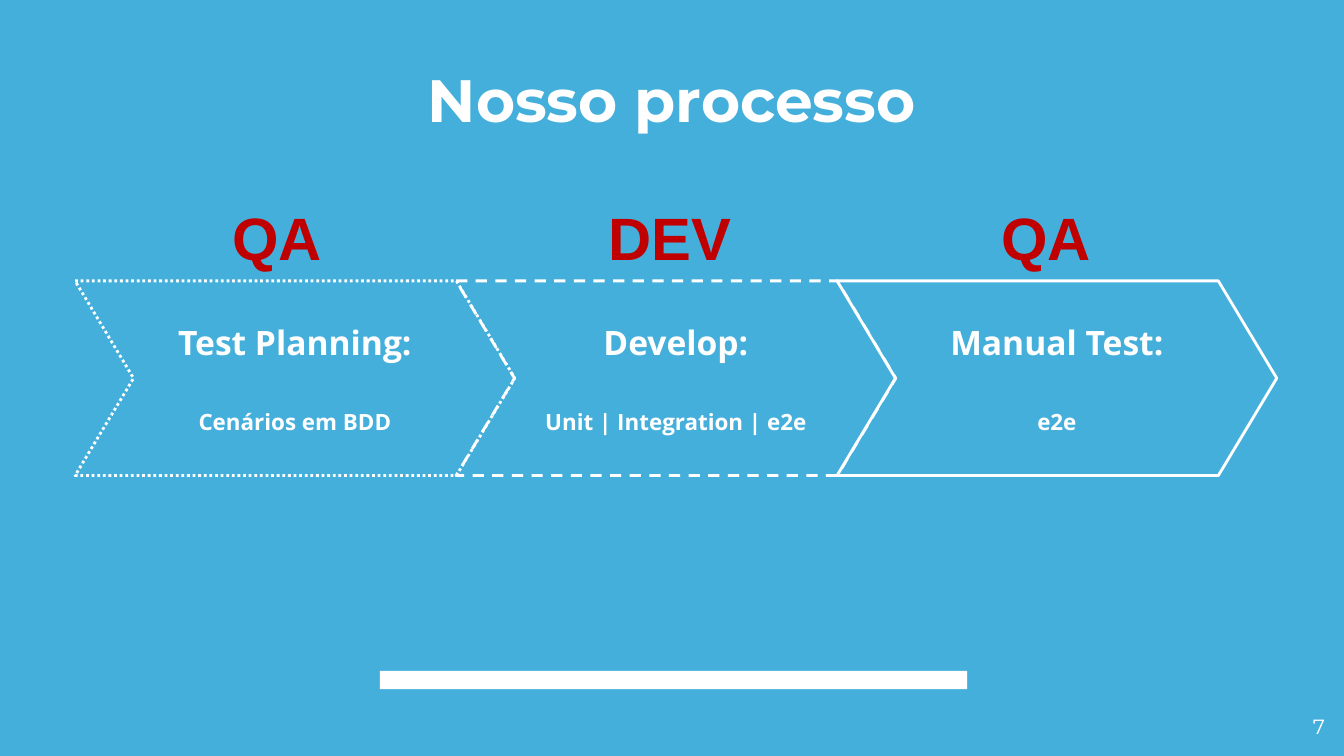
"""Build the "Nosso processo" slide: a three-step QA and development flow."""
from dataclasses import dataclass

from pptx import Presentation
from pptx.dml.color import RGBColor
from pptx.enum.dml import MSO_LINE
from pptx.enum.shapes import MSO_SHAPE
from pptx.enum.text import MSO_ANCHOR, MSO_AUTO_SIZE, PP_ALIGN
from pptx.util import Cm, Pt

RECTANGLE, CHEVRON = MSO_SHAPE.RECTANGLE, MSO_SHAPE.CHEVRON
DASH, DOT, SOLID = MSO_LINE.DASH, MSO_LINE.ROUND_DOT, MSO_LINE.SOLID
TOP, MIDDLE, BOTTOM = MSO_ANCHOR.TOP, MSO_ANCHOR.MIDDLE, MSO_ANCHOR.BOTTOM
LEFT, CENTER, RIGHT = PP_ALIGN.LEFT, PP_ALIGN.CENTER, PP_ALIGN.RIGHT
FIT_SHAPE = MSO_AUTO_SIZE.SHAPE_TO_FIT_TEXT


@dataclass(frozen=True)
class Theme:
    background: RGBColor = RGBColor(0x45, 0xAF, 0xDC)
    white: RGBColor = RGBColor(0xFF, 0xFF, 0xFF)
    red: RGBColor = RGBColor(0xC0, 0x00, 0x00)
    title_font: str = "Montserrat"
    step_font: str = "Open Sans"
    role_font: str = "Arial"
    heading: Pt = Pt(32)
    step: Pt = Pt(18)
    detail: Pt = Pt(12)
    number: Pt = Pt(11)


theme = Theme()


def style_paragraph(para, font_name, size, color, bold, align):
    para.alignment = align
    for span in para.runs:
        span.font.name = font_name
        span.font.size = size
        span.font.bold = bold
        span.font.color.rgb = color


def set_frame(shape, anchor, inset=Cm(0.25)):
    frame = shape.text_frame
    frame.word_wrap = True
    frame.vertical_anchor = anchor
    frame.margin_left = frame.margin_right = inset
    frame.margin_top = frame.margin_bottom = inset
    return frame


deck = Presentation()
deck.slide_width, deck.slide_height = Cm(25.4), Cm(14.29)
page = deck.slides.add_slide(deck.slide_layouts[6])
page.background.fill.solid()
page.background.fill.fore_color.rgb = theme.background

bar = page.shapes.add_shape(RECTANGLE, Cm(7.18), Cm(12.68), Cm(11.1), Cm(0.35))
bar.shadow.inherit = False
bar.fill.solid()
bar.fill.fore_color.rgb = theme.white
bar.line.fill.background()

title = page.shapes.add_textbox(Cm(1.27), Cm(1.19), Cm(22.86), Cm(1.6))
frame = set_frame(title, BOTTOM)
frame.text = "Nosso processo"
style_paragraph(frame.paragraphs[0], theme.title_font, theme.heading, theme.white, True, CENTER)

steps = [
    ("Test Planning:", "Cenários em BDD", DOT),
    ("Develop:", "Unit | Integration | e2e", DASH),
    ("Manual Test:", "e2e", SOLID),
]
for index, (name, detail, dash) in enumerate(steps):
    chevron = page.shapes.add_shape(CHEVRON, Cm(1.42 + 7.2 * index), Cm(5.31), Cm(8.31), Cm(3.68))
    chevron.adjustments[0] = 0.3
    chevron.shadow.inherit = False
    chevron.fill.background()
    chevron.line.color.rgb = theme.white
    chevron.line.width = Pt(1.5)
    chevron.line.dash_style = dash
    frame = set_frame(chevron, MIDDLE)
    frame.text = f"{name}\n{detail}"
    for para, size in zip(frame.paragraphs, (theme.step, theme.detail)):
        style_paragraph(para, theme.step_font, size, theme.white, True, CENTER)
    frame.paragraphs[1].space_before = Pt(24.5)

number = page.shapes.add_textbox(Cm(23.77), Cm(13.26), Cm(1.52), Cm(0.81))
frame = set_frame(number, TOP)
frame.text = "7"
style_paragraph(frame.paragraphs[0], theme.title_font, theme.number, theme.white, False, RIGHT)

for role, left, width in [("QA", 4.14, 2.24), ("DEV", 11.25, 2.87), ("QA", 18.67, 2.24)]:
    label = page.shapes.add_textbox(Cm(left), Cm(3.68), Cm(width), Cm(1.63))
    frame = label.text_frame
    frame.word_wrap = False
    frame.auto_size = FIT_SHAPE
    frame.text = role
    style_paragraph(frame.paragraphs[0], theme.role_font, theme.heading, theme.red, True, LEFT)

deck.save("out.pptx")
